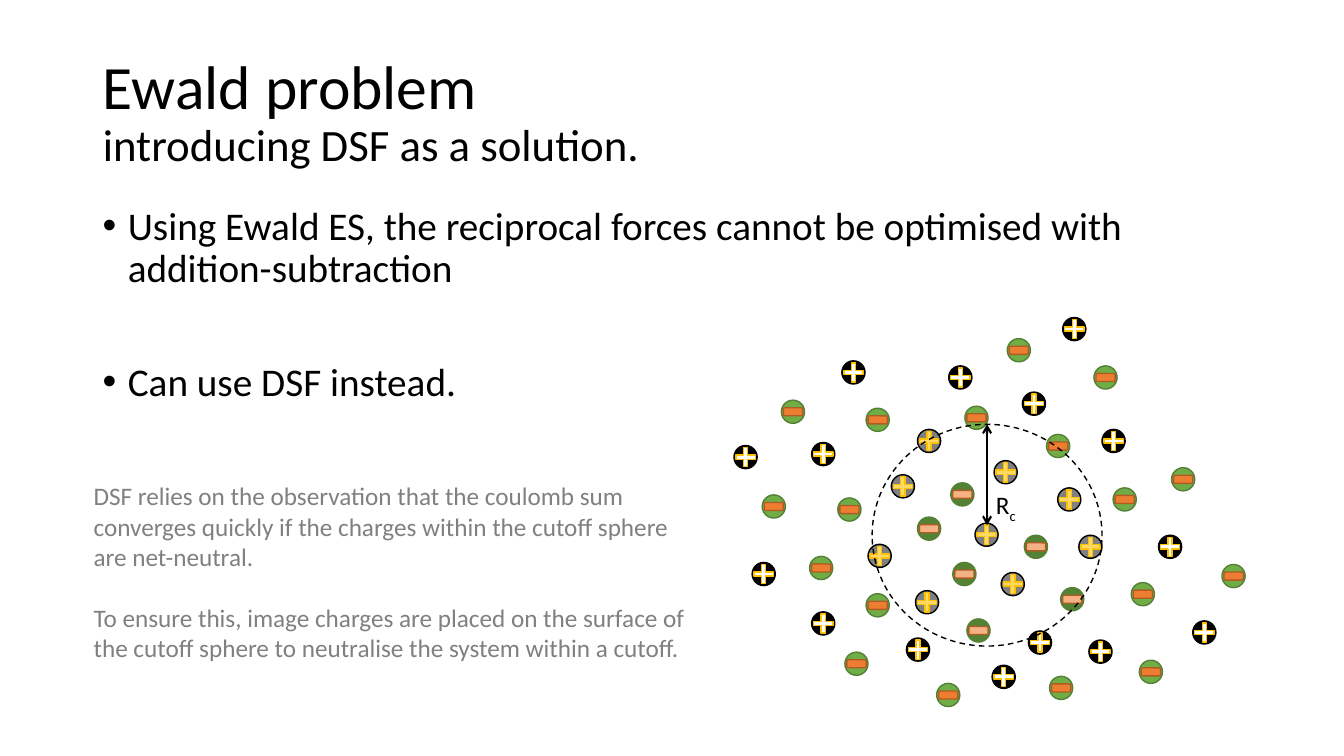
from lxml import etree
from pptx import Presentation
from pptx import util as u
from pptx.dml.color import RGBColor
from pptx.enum import dml, shapes, text
from pptx.oxml.ns import qn

FONT = "Calibri"
BLACK, GREY = "000000", "808080"
PARTICLE = 0.23
SIGN_WIDTH = 0.19
SIGN_INSET = 0.02

# Charge kinds: sign, particle fill and line, sign fill and line
KINDS = {
    "image plus": ("plus", GREY, BLACK, "FFD966", "FFC000"),
    "plus": ("plus", BLACK, BLACK, "FFFFFF", "FFC000"),
    "image minus": ("minus", "548235", "538035", "F4B183", "AF5C24"),
    "minus": ("minus", "70AD47", "538035", "ED7D31", "AF5C24"),
}

# Left and top of every particle, by kind
CHARGES = {
    "image plus": [
        (8.84, 4.71), (9.1, 4.26), (9.67, 5.19), (9.93, 5.68), (9.08, 5.86),
        (8.61, 5.4), (9.86, 4.57), (10.49, 4.84), (10.7, 5.31)],
    "plus": [
        (10.2, 6.26), (8.99, 6.33), (8.05, 6.07), (10.14, 3.89), (9.84, 6.6),
        (10.8, 6.35), (10.93, 4.26), (11.49, 5.31), (9.41, 3.63), (8.05, 4.39),
        (11.83, 6.16), (10.54, 3.15), (7.46, 5.58), (8.35, 3.58), (7.28, 4.42)],
    "image minus": [
        (9.1, 5.13), (9.43, 4.79), (9.45, 5.58), (9.59, 6.14), (10.16, 5.31),
        (10.52, 5.83)],
    "minus": [
        (8.31, 4.94), (8.59, 5.89), (8.38, 6.47), (8.03, 5.52), (9.57, 4.03),
        (10.38, 4.31), (9.29, 6.78), (10.41, 6.71), (11.22, 5.78), (11.04, 4.84),
        (11.3, 6.55), (8.59, 4.05), (10.85, 3.63), (9.99, 3.36), (11.62, 4.64),
        (7.56, 4.91), (7.75, 3.97), (12.12, 5.6)],
}


def rgb(color):
    return RGBColor.from_string(color)


def box(*lengths):
    return [u.Inches(length) for length in lengths]


def add_run(paragraph, words, size=18, color=BLACK, baseline=None):
    run = paragraph.add_run()
    run.text = words
    run.font.name = FONT
    run.font.size = u.Pt(size)
    run.font.color.rgb = rgb(color)
    if baseline is not None:
        run.font._element.set("baseline", str(baseline))


def add_bullet(paragraph, indent=0.25):
    properties = paragraph._p.get_or_add_pPr()
    properties.set("marL", str(u.Inches(indent)))
    properties.set("indent", str(-u.Inches(indent)))
    font = etree.SubElement(properties, qn("a:buFont"))
    font.set("typeface", "Arial")
    etree.SubElement(properties, qn("a:buChar")).set("char", "•")


def add_text(slide, place, paragraphs, size=18, color=BLACK, bullet=False,
             spacing=None, gap=0):
    """Each paragraph is a list of (words, baseline) runs."""
    frame = slide.shapes.add_textbox(*box(*place)).text_frame
    frame.word_wrap = True
    for index, runs in enumerate(paragraphs):
        paragraph = frame.add_paragraph() if index else frame.paragraphs[0]
        if bullet:
            add_bullet(paragraph)
        if spacing:
            paragraph.line_spacing = spacing
        if index:
            paragraph.space_before = u.Pt(gap)
        for words, baseline in runs:
            add_run(paragraph, words, size, color, baseline)


def add_title(slide, heading, subheading):
    title = slide.shapes.title
    title.left, title.top, title.width, title.height = box(0.92, 0.4, 11.5, 1.45)
    frame = title.text_frame
    frame.auto_size = text.MSO_AUTO_SIZE.NONE
    frame.vertical_anchor = text.MSO_ANCHOR.MIDDLE
    paragraph = frame.paragraphs[0]
    paragraph.alignment = text.PP_ALIGN.LEFT
    paragraph.line_spacing = 0.9
    add_run(paragraph, heading, size=44)
    paragraph.add_line_break()
    add_run(paragraph, subheading, size=32)


def add_figure(parent, kind, place, fill=None, line=BLACK):
    shape = parent.shapes.add_shape(kind, *box(*place))
    shape.shadow.inherit = False
    if fill:
        shape.fill.solid()
        shape.fill.fore_color.rgb = rgb(fill)
    else:
        shape.fill.background()
    shape.line.color.rgb = rgb(line)
    shape.line.width = u.Pt(1)
    return shape


def add_charge(slide, kind, left, top):
    sign, fill, line, sign_fill, sign_line = KINDS[kind]
    group = slide.shapes.add_group_shape()
    add_figure(group, shapes.MSO_SHAPE.OVAL, (left, top, PARTICLE, PARTICLE), fill, line)
    if sign == "plus":
        place = (left + SIGN_INSET, top + SIGN_INSET, SIGN_WIDTH, SIGN_WIDTH)
        cross = add_figure(group, shapes.MSO_SHAPE.CROSS, place, sign_fill, sign_line)
        cross.adjustments[0] = 0.393
    else:
        place = (left + SIGN_INSET, top + 0.075, SIGN_WIDTH, 0.08)
        add_figure(group, shapes.MSO_SHAPE.ROUNDED_RECTANGLE, place, sign_fill, sign_line)


def add_radius_arrow(slide, start, cutoff):
    arrow = slide.shapes.add_connector(shapes.MSO_CONNECTOR.STRAIGHT, *box(*start, *start))
    arrow.end_connect(cutoff, 0)
    arrow.line.color.rgb = rgb(BLACK)
    arrow.line.width = u.Pt(1.5)
    line = arrow.line._get_or_add_ln()
    for end in ("a:headEnd", "a:tailEnd"):
        etree.SubElement(line, qn(end)).set("type", "arrow")
    etree.SubElement(arrow._element.spPr, qn("a:effectLst"))


def main():
    presentation = Presentation()
    presentation.slide_width, presentation.slide_height = box(13.33, 7.5)
    slide = presentation.slides.add_slide(presentation.slide_layouts[5])

    # Title and main points
    add_title(slide, "Ewald problem ", "introducing DSF as a solution.")
    add_text(slide, (0.92, 2, 11.69, 2.26), [
        [("Using Ewald ES, the reciprocal forces cannot be optimised with "
          "addition-subtraction", None)],
        [("Can use DSF instead.", None)],
    ], size=28, bullet=True, spacing=0.9, gap=51)

    # Charges
    for kind, places in CHARGES.items():
        for left, top in places:
            add_charge(slide, kind, left, top)

    # Cutoff sphere and its radius
    cutoff = add_figure(slide, shapes.MSO_SHAPE.OVAL, (8.65, 4.21, 2.28, 2.2))
    cutoff.line.dash_style = dml.MSO_LINE.DASH
    add_radius_arrow(slide, (9.79, 5.21), cutoff)
    add_text(slide, (9.78, 4.81, 0.59, 0.4), [[("R", None), ("c", -25000)]])

    # Explanation
    add_text(slide, (0.83, 4.72, 6.28, 2.22), [
        [("DSF relies on the observation that the coulomb sum converges quickly if "
          "the charges within the cutoff sphere are net-neutral.", None)],
        [("To ensure this, image charges are placed on the surface of the cutoff "
          "sphere to neutralise the system within a cutoff.", None)],
    ], color=GREY, gap=22)

    presentation.save("out.pptx")


if __name__ == "__main__":
    main()
